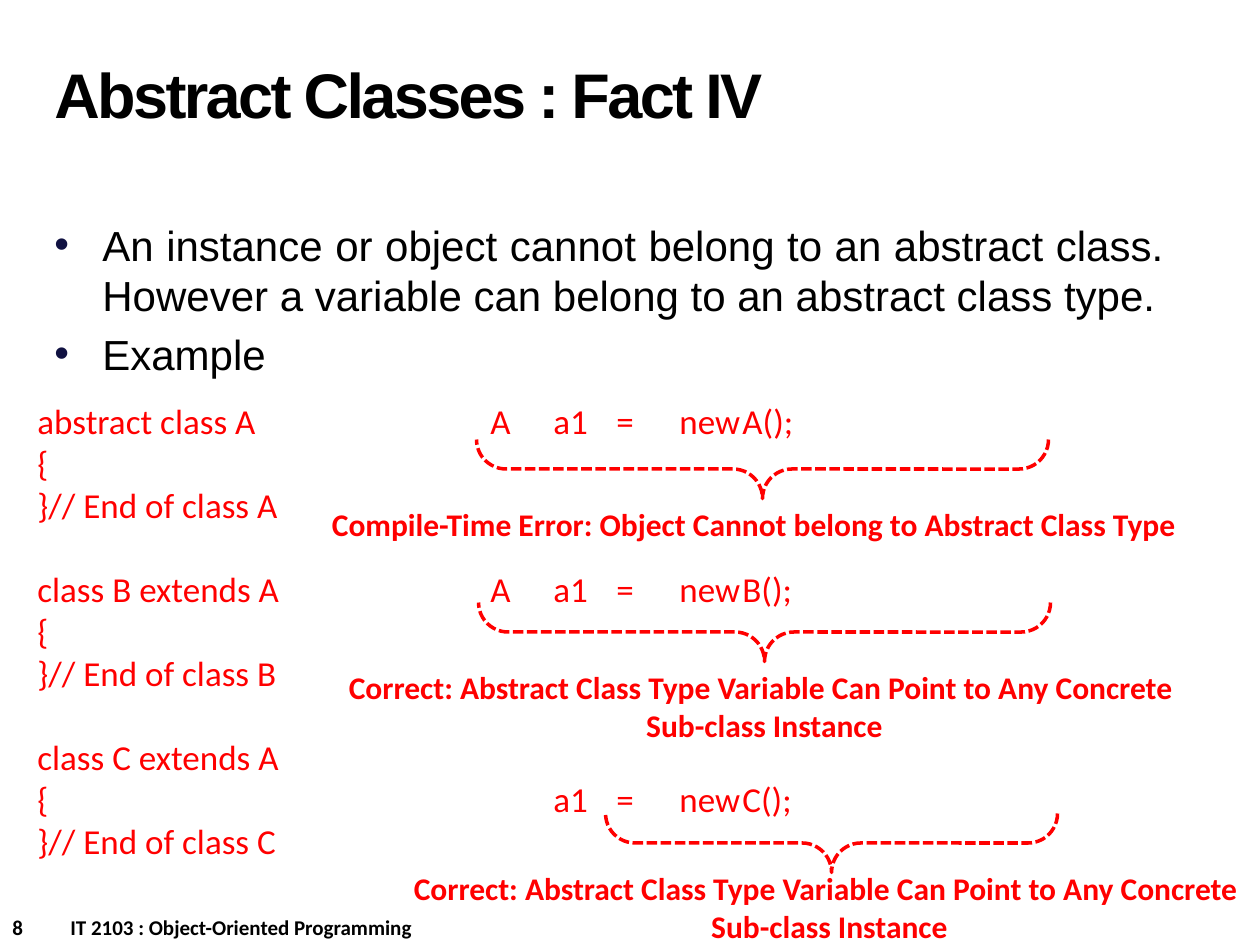
from dataclasses import dataclass

from pptx import Presentation
from pptx.dml.color import RGBColor
from pptx.enum.dml import MSO_LINE_DASH_STYLE as Dash
from pptx.enum.shapes import MSO_SHAPE as Preset
from pptx.enum.text import MSO_ANCHOR as Anchor, PP_ALIGN as Align
from pptx.oxml.ns import qn
from pptx.util import Emu, Pt
from lxml.etree import SubElement

EMU_PER_PX = 914400 / 126
RED = RGBColor(0xFF, 0x00, 0x00)
BLACK = RGBColor(0x00, 0x00, 0x00)
BULLET_HEX = "101141"
CODE_LINE = 24  # height of one line of code, in points


def px(length: int) -> Emu:
    return Emu(round(length * EMU_PER_PX))


@dataclass
class Style:
    size: int
    font: str
    color: RGBColor
    bold: bool = False


@dataclass
class Line:
    text: str
    lines_skipped: int = 0


@dataclass
class Note:
    left: int
    top: int
    width: int
    height: int
    lines: list[str]


@dataclass
class Brace:
    left: int
    top: int
    span: int


TITLE = Style(36, "Arial", BLACK, True)
BODY = Style(24, "Arial", BLACK)
CODE = Style(20, "Calibri", RED)
NOTE = Style(18, "Calibri", RED, True)
FOOTER = Style(12, "Calibri", BLACK, True)

CORRECT = ["Correct: Abstract Class Type Variable Can Point to Any Concrete ",
           "Sub-class Instance"]
NOTES = [
    Note(315, 499, 878, 50,
         ["Compile-Time Error: Object Cannot belong to Abstract Class Type"]),
    Note(333, 662, 863, 89, CORRECT),
    Note(398, 863, 863, 89, CORRECT),
]
BRACE_DEPTH = 59
BRACES = [Brace(477, 439, 572), Brace(479, 602, 572), Brace(606, 813, 452)]

CLASSES = [("abstract class A", "A"), ("class B extends A", "B"),
           ("class C extends A", "C")]
STATEMENTS = [Line("A\ta1\t=\tnew\tA();"), Line("A\ta1\t=\tnew\tB();", 3),
              Line("\ta1\t=\tnew\tC();", 4)]


def add_box(slide, left: int, top: int, width: int, height: int, wrap: bool = True):
    frame = slide.shapes.add_textbox(px(left), px(top), px(width), px(height)).text_frame
    frame.word_wrap = wrap
    return frame


def add_paragraph(frame, first: bool):
    return frame.paragraphs[0] if first else frame.add_paragraph()


def add_run(paragraph, text: str, style: Style):
    run = paragraph.add_run()
    run.text = text
    run.font.size = Pt(style.size)
    run.font.name = style.font
    run.font.bold = style.bold
    run.font.color.rgb = style.color
    return run


def add_code(frame, lines: list[Line]) -> None:
    for index, line in enumerate(lines):
        paragraph = add_paragraph(frame, index == 0)
        if line.lines_skipped:
            paragraph.space_before = Pt(line.lines_skipped * CODE_LINE)
        add_run(paragraph, line.text, CODE)


def add_bullet(paragraph) -> None:
    properties = paragraph._p.get_or_add_pPr()
    properties.set("marL", str(px(48)))
    properties.set("indent", str(-px(48)))
    color = SubElement(properties, qn("a:buClr"))
    SubElement(color, qn("a:srgbClr"), val=BULLET_HEX)
    SubElement(properties, qn("a:buFont"), typeface="Arial")
    SubElement(properties, qn("a:buChar"), char="•")


def add_note(slide, note: Note) -> None:
    frame = add_box(slide, note.left, note.top, note.width, note.height, wrap=False)
    for index, text in enumerate(note.lines):
        paragraph = add_paragraph(frame, index == 0)
        paragraph.alignment = Align.CENTER
        add_run(paragraph, text, NOTE)


def add_brace(slide, brace: Brace) -> None:
    # The brace is upright before its quarter turn about the centre
    shift = (brace.span - BRACE_DEPTH) // 2
    shape = slide.shapes.add_shape(Preset.RIGHT_BRACE, px(brace.left + shift),
                                   px(brace.top - shift), px(BRACE_DEPTH), px(brace.span))
    shape.rotation = 90
    shape.adjustments[0] = 0.5
    shape.adjustments[1] = 0.5
    shape.shadow.inherit = False
    shape.fill.background()
    shape.line.color.rgb = RED
    shape.line.width = Pt(2)
    shape.line.dash_style = Dash.SQUARE_DOT


def main() -> None:
    presentation = Presentation()
    presentation.slide_width, presentation.slide_height = px(1260), px(945)
    slide = presentation.slides.add_slide(presentation.slide_layouts[6])

    # Footer: slide number and course, parted by a tab
    paragraph = add_box(slide, 0, 908, 630, 38).paragraphs[0]
    tabs = SubElement(paragraph._p.get_or_add_pPr(), qn("a:tabLst"))
    SubElement(tabs, qn("a:tab"), pos=str(px(58)), algn="l")
    add_run(paragraph, "8\tIT 2103 : Object-Oriented Programming", FOOTER)

    # Bulleted facts
    frame = add_box(slide, 42, 205, 1134, 624)
    frame.margin_top = px(14)
    facts = ["An instance or object cannot belong to an abstract class. "
             "However a variable can belong to an abstract class type.", "Example"]
    for index, fact in enumerate(facts):
        paragraph = add_paragraph(frame, index == 0)
        add_bullet(paragraph)
        paragraph.alignment = Align.JUSTIFY
        if index:
            paragraph.space_before = Pt(4.8)
        add_run(paragraph, fact, BODY)

    # Title
    frame = add_box(slide, 42, 21, 872, 158)
    frame.vertical_anchor = Anchor.MIDDLE
    frame.paragraphs[0].line_spacing = Pt(36)
    run = add_run(frame.paragraphs[0], "Abstract Classes : Fact IV", TITLE)
    run.font._element.set("spc", "-150")

    # Class definitions on the left, statements on the right
    definitions = []
    for index, (header, name) in enumerate(CLASSES):
        definitions += [Line(header, min(index, 1)), Line("{"),
                        Line("}// End of class " + name)]
    add_code(add_box(slide, 25, 393, 393, 479), definitions)
    add_code(add_box(slide, 478, 393, 612, 437), STATEMENTS)

    # Braces and the remarks below them
    for brace, note in zip(BRACES, NOTES):
        add_brace(slide, brace)
        add_note(slide, note)

    presentation.save("out.pptx")


if __name__ == "__main__":
    main()
